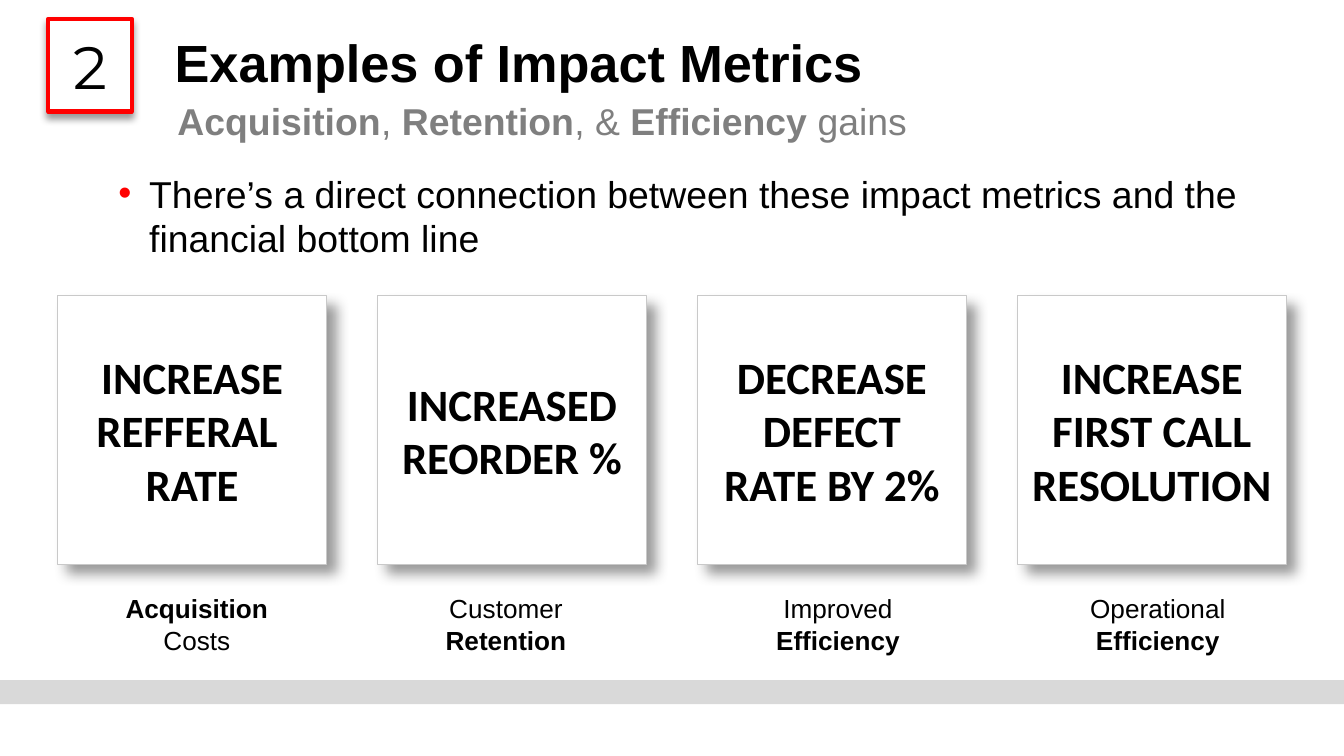
from lxml import etree
from pptx import Presentation
from pptx.dml.color import RGBColor
from pptx.enum.shapes import MSO_SHAPE
from pptx.enum.text import MSO_ANCHOR, PP_ALIGN
from pptx.oxml.ns import qn
from pptx.util import Inches, Pt

RECT = MSO_SHAPE.RECTANGLE
LEFT, CENTER = PP_ALIGN.LEFT, PP_ALIGN.CENTER
TOP, MIDDLE = MSO_ANCHOR.TOP, MSO_ANCHOR.MIDDLE
TITLE_ONLY = 5

COLORS = {"text": "000000", "muted": "7F7F7F", "accent": "FF0000",
          "paper": "FFFFFF", "border": "C9C9C9", "band": "D9D9D9"}

CARD_LEFT, CARD_TOP, CARD_SIZE, CARD_PITCH = 0.43, 2.2, 2, 2.38

# Card paragraphs, caption left edge, caption runs as (text, bold)
CARDS = [
    (["INCREASE REFFERAL ", "RATE"], 0.81,
     [("Acquisition", True), (" Costs", False)]),
    (["INCREASED REORDER %"], 3.11,
     [("Customer ", False), ("Retention", True)]),
    (["DECREASE", "DEFECT", "RATE BY 2%"], 5.58,
     [("Improved ", False), ("Efficiency", True)]),
    (["INCREASE\nFIRST CALL RESOLUTION"], 7.96,
     [("Operational ", False), ("Efficiency", True)]),
]
SUBTITLE = [("Acquisition", True), (", ", False), ("Retention", True),
            (", & ", False), ("Efficiency", True), (" gains", False)]


def rgb(name):
    return RGBColor.from_string(COLORS[name])


def box(x, y, w, h):
    return [Inches(v) for v in (x, y, w, h)]


def write(tf, paragraphs, size, font="Arial", color="text", align=LEFT,
          anchor=TOP, margins=(0, 0)):
    """Fill a text frame; each paragraph is a list of (text, bold) runs."""
    tf.word_wrap = True
    tf.vertical_anchor = anchor
    tf.margin_left = tf.margin_right = Inches(margins[0])
    tf.margin_top = tf.margin_bottom = Inches(margins[1])
    for i, runs in enumerate(paragraphs):
        p = tf.add_paragraph() if i else tf.paragraphs[0]
        p.alignment = align
        for text, bold in runs:
            for j, line in enumerate(text.split("\n")):
                if j:
                    p.add_line_break()
                r = p.add_run()
                r.text = line
                r.font.name, r.font.size, r.font.bold = font, Pt(size), bold
                r.font.color.rgb = rgb(color)


def add_text(s, place, paragraphs, size, **style):
    tf = s.shapes.add_textbox(*box(*place)).text_frame
    write(tf, paragraphs, size, **style)
    return tf


def add_rect(s, place, fill, line=None, width=0):
    sp = s.shapes.add_shape(RECT, *box(*place))
    sp.shadow.inherit = False
    sp.fill.solid()
    sp.fill.fore_color.rgb = rgb(fill)
    if line:
        sp.line.color.rgb = rgb(line)
        sp.line.width = Pt(width)
    else:
        sp.line.fill.background()
    return sp


def add_shadow(sp, blur, distance, degrees):
    effects = sp.element.spPr.find(qn("a:effectLst"))
    shadow = etree.SubElement(
        effects, qn("a:outerShdw"), blurRad=str(Pt(blur)),
        dist=str(Pt(distance)), dir=str(degrees * 60000), rotWithShape="0")
    color = etree.SubElement(shadow, qn("a:srgbClr"), val=COLORS["text"])
    etree.SubElement(color, qn("a:alpha"), val="40000")


def add_bullet(p, indent):
    pPr = p._p.get_or_add_pPr()
    pPr.set("marL", str(Inches(indent)))
    pPr.set("indent", str(-Inches(indent)))
    color = etree.SubElement(pPr, qn("a:buClr"))
    etree.SubElement(color, qn("a:srgbClr"), val=COLORS["accent"])
    etree.SubElement(pPr, qn("a:buFont"), typeface="Arial")
    etree.SubElement(pPr, qn("a:buChar"), char="•")


def add_heading(s):
    title = s.shapes.title
    title.left, title.top, title.width, title.height = box(1.3, 0.22, 8.48, 0.47)
    write(title.text_frame, [[("Examples of Impact Metrics", True)]], 28,
          anchor=MIDDLE)
    add_text(s, (1.32, 0.72, 8.47, 0.35), [SUBTITLE], 20, color="muted",
             anchor=MIDDLE)
    number = add_rect(s, (0.36, 0.14, 0.62, 0.69), "paper", "accent", 2.25)
    add_shadow(number, 4, 3, 90)
    write(number.text_frame, [[("2", False)]], 32, font="Montserrat",
          align=CENTER, anchor=MIDDLE)


def add_statement(s):
    tf = add_text(s, (0.88, 1.27, 8.65, 3.61),
                  [[("There’s a direct connection between these impact metrics "
                     "and the financial bottom line", False)]], 20)
    add_bullet(tf.paragraphs[0], 0.23)


def add_card(s, column, paragraphs, caption_left, caption):
    left = CARD_LEFT + column * CARD_PITCH
    card = add_rect(s, (left, CARD_TOP, CARD_SIZE, CARD_SIZE),
                    "paper", "border", 0.25)
    add_shadow(card, 7, 7, 45)
    write(card.text_frame, [[(text, True)] for text in paragraphs], 24,
          font="Calibri", align=CENTER, anchor=MIDDLE)
    add_text(s, (caption_left, 4.36, 1.31, 0.57), [caption], 14,
             align=CENTER, margins=(0.1, 0.05))


def main():
    prs = Presentation()
    prs.slide_width, prs.slide_height = Inches(10), Inches(5.625)
    s = prs.slides.add_slide(prs.slide_layouts[TITLE_ONLY])
    add_rect(s, (0, 5.06, 10, 0.18), "band")
    add_heading(s)
    add_statement(s)
    for column, card in enumerate(CARDS):
        add_card(s, column, *card)
    prs.save("out.pptx")


if __name__ == "__main__":
    main()
